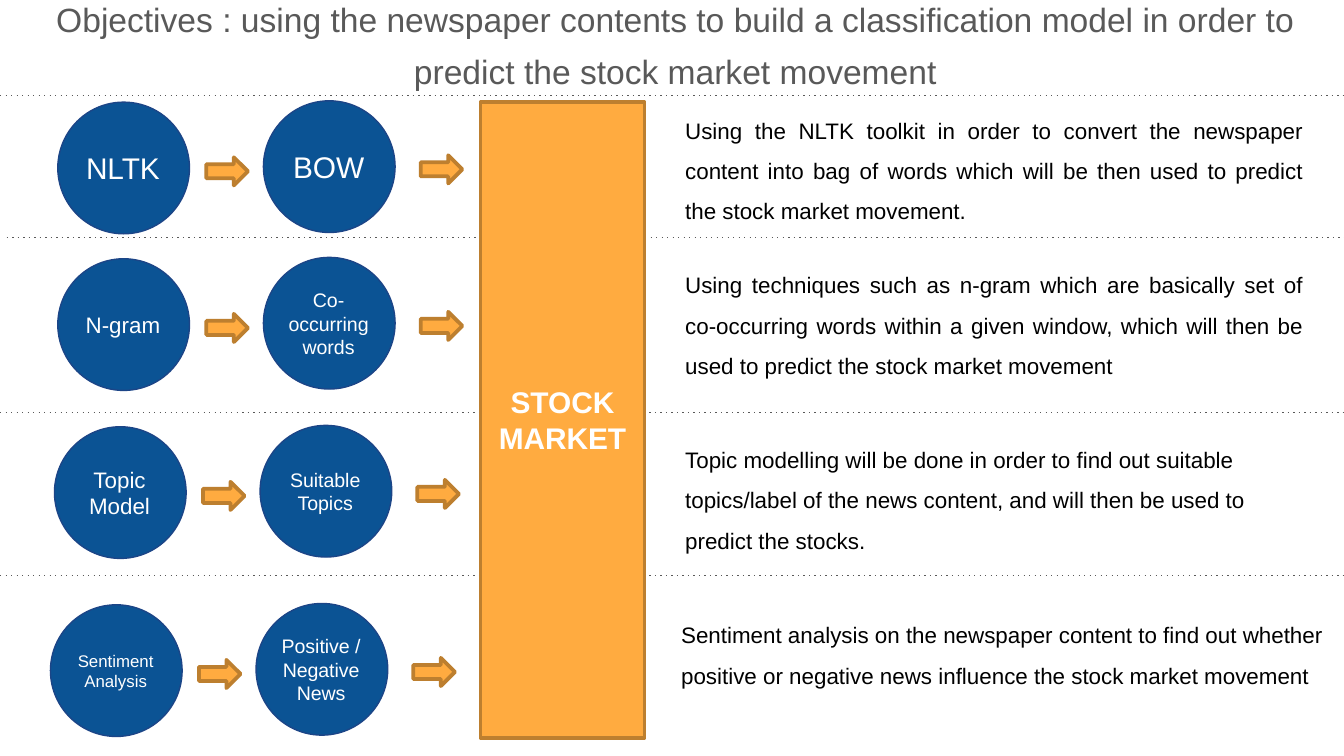
import pptx
import pptx.util
import pptx.dml.color
import pptx.enum.shapes
import pptx.enum.text
import pptx.oxml.ns
import lxml.etree

PX = 4572  # 200 px to the inch
SHAPE = pptx.enum.shapes.MSO_SHAPE
ALIGN = pptx.enum.text.PP_ALIGN
ANCHOR = pptx.enum.text.MSO_ANCHOR


def write(shape, text, size, color="000000", align=ALIGN.LEFT,
          anchor=ANCHOR.MIDDLE, spacing=1.0, bold=False, inset=20):
    frame = shape.text_frame
    frame.word_wrap = True
    frame.vertical_anchor = anchor
    frame.margin_left = frame.margin_right = 20 * PX
    frame.margin_top = frame.margin_bottom = inset * PX
    paragraph = frame.paragraphs[0]
    paragraph.alignment = align
    paragraph.line_spacing = spacing
    run = paragraph.add_run()
    run.text = text
    run.font.name = "Arial"
    run.font.size = pptx.util.Pt(size)
    run.font.bold = bold
    run.font.color.rgb = pptx.dml.color.RGBColor.from_string(color)


def add_filled(shapes, kind, left, top, width, height, fill, line, line_width):
    shape = shapes.add_shape(kind, left * PX, top * PX, width * PX, height * PX)
    shape.shadow.inherit = False
    shape.fill.solid()
    shape.fill.fore_color.rgb = pptx.dml.color.RGBColor.from_string(fill)
    shape.line.color.rgb = pptx.dml.color.RGBColor.from_string(line)
    shape.line.width = pptx.util.Pt(line_width)
    return shape


presentation = pptx.Presentation()
presentation.slide_width = 2000 * PX
presentation.slide_height = 1125 * PX
slide = presentation.slides.add_slide(presentation.slide_layouts[6])

# Dotted dividers
for left, top in [(0, 142), (10, 353), (0, 614), (0, 856)]:
    divider = slide.shapes.add_connector(
        pptx.enum.shapes.MSO_CONNECTOR.STRAIGHT,
        left * PX, top * PX, (left + 2000) * PX, top * PX)
    divider.line.color.rgb = pptx.dml.color.RGBColor.from_string("595959")
    divider.line.width = pptx.util.Pt(0.75)
    properties = divider._element.spPr
    outline = properties.find(pptx.oxml.ns.qn("a:ln"))
    lxml.etree.SubElement(outline, pptx.oxml.ns.qn("a:prstDash"), val="dot")
    lxml.etree.SubElement(properties, pptx.oxml.ns.qn("a:effectLst"))

title = slide.shapes.add_textbox(0, -37 * PX, 2010 * PX, 174 * PX)
write(title,
      "Objectives : using the newspaper contents to build a classification "
      "model in order to predict the stock market movement",
      18, color="595959", align=ALIGN.CENTER, anchor=ANCHOR.TOP, spacing=1.27)

# Explanations: left, top, width, height, alignment, anchor, inset, text
explanations = [
    (1000, 144, 960, 200, ALIGN.JUSTIFY, ANCHOR.MIDDLE, 20,
     "Using the NLTK toolkit in order to convert the newspaper content into "
     "bag of words which will be then used to predict the stock market movement."),
    (1000, 365, 960, 218, ALIGN.JUSTIFY, ANCHOR.MIDDLE, 20,
     "Using techniques such as n-gram which are basically set of co-occurring "
     "words within a given window, which will then be used to predict the "
     "stock market movement"),
    (1000, 614, 960, 240, ALIGN.LEFT, ANCHOR.MIDDLE, 20,
     "Topic modelling will be done in order to find out suitable topics/label "
     "of the news content, and will then be used to predict the stocks."),
    (994, 895, 1000, 142, ALIGN.LEFT, ANCHOR.TOP, 10,
     "Sentiment analysis on the newspaper content to find out whether positive "
     "or negative news influence the stock market movement"),
]
for left, top, width, height, align, anchor, inset, text in explanations:
    box = slide.shapes.add_textbox(left * PX, top * PX, width * PX, height * PX)
    write(box, text, 12, align=align, anchor=anchor, spacing=1.5, inset=inset)

# Each row: left, top, (method, size), (result, size)
rows = [
    (86, 152, ("NLTK", 16), ("BOW", 16)),
    (86, 385, ("N-gram", 12), ("Co-occurring words", 10.5)),
    (81, 635, ("Topic Model", 12), ("Suitable Topics", 10.5)),
    (75, 900, ("Sentiment Analysis", 9), ("Positive / Negative News", 10.5)),
]
for left, top, method, result in rows:
    for (text, size), x, y in [(method, left, top), (result, left + 306, top - 2)]:
        group = slide.shapes.add_group_shape()
        add_filled(group.shapes, SHAPE.OVAL, x, y, 196, 196, "0B5394", "1C4587", 0.75)
        label = group.shapes.add_textbox(
            (x + 15) * PX, (y + 27) * PX, 164 * PX, 142 * PX)
        write(label, text, size, color="FFFFFF", align=ALIGN.CENTER)
    for x, y in [(left + 221, top + 82), (left + 540, top + 79)]:
        add_filled(slide.shapes, SHAPE.RIGHT_ARROW, x, y, 62, 42, "FFAB40", "BD7F2F", 2)

market = add_filled(slide.shapes, SHAPE.RECTANGLE, 715, 152, 244, 946,
                    "FFAB40", "BD7F2F", 2)
write(market, "STOCK MARKET", 16, color="FFFFFF", align=ALIGN.CENTER,
      bold=True, inset=10)

presentation.save("out.pptx")
